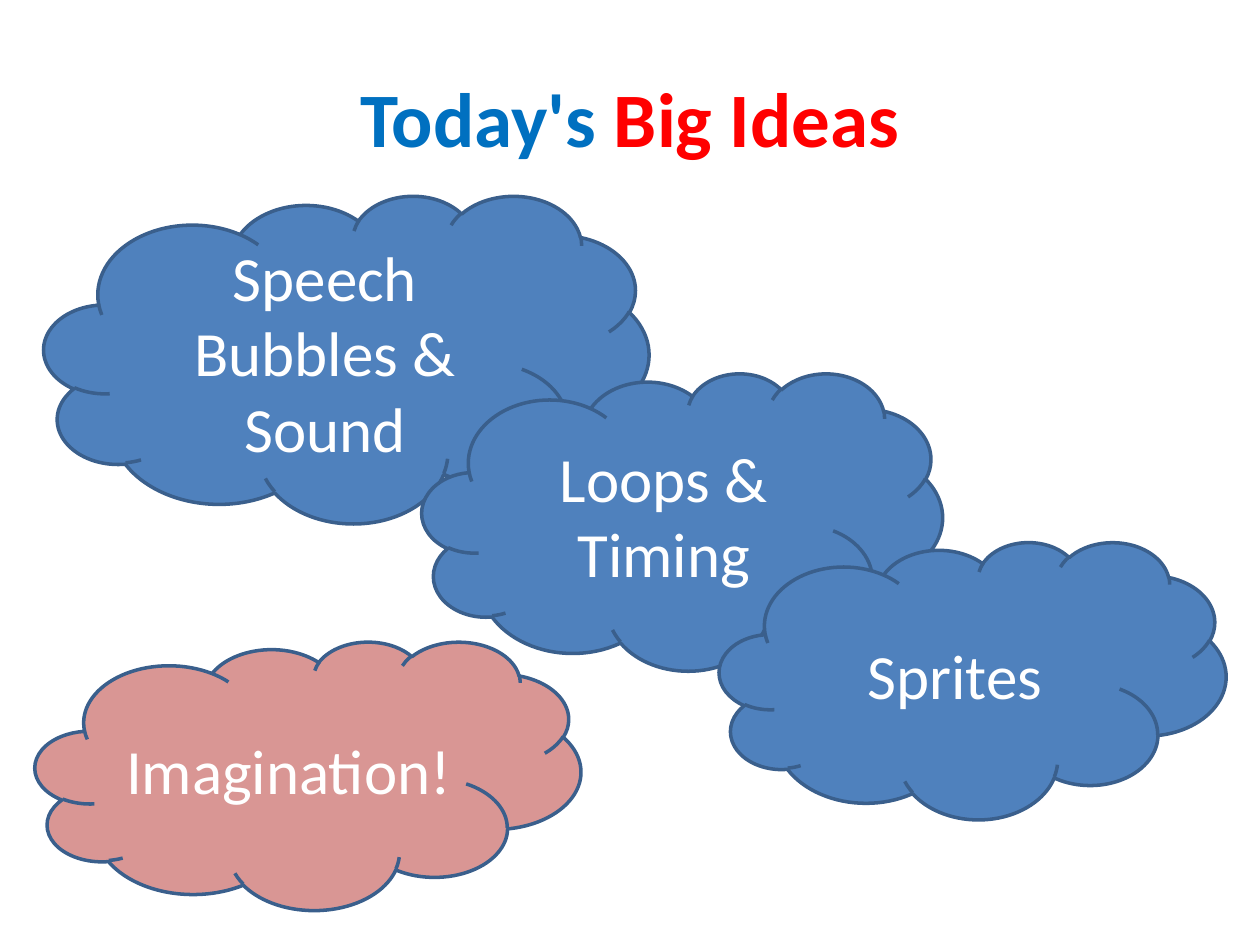
from pptx import Presentation
from pptx.dml.color import RGBColor
from pptx.enum.shapes import MSO_SHAPE
from pptx.enum.text import MSO_ANCHOR, PP_ALIGN
from pptx.util import Inches, Pt

CLOUD = MSO_SHAPE.CLOUD
MIDDLE = MSO_ANCHOR.MIDDLE
CENTER = PP_ALIGN.CENTER

# Content
WIDE, HIGH = 10, 7.5
FONT = "Calibri"
COLORS = {
    "blue": "0070C0", "red": "FF0000", "white": "FFFFFF",
    "sky": "4F81BD", "rose": "D99694", "edge": "3A5F8C",
}
TITLE = [("Today's ", "blue"), ("Big Ideas", "red")]
TITLE_BOX = (0.05, 0.028, 0.9, 0.19)

# Text, fill, and left, top, width, height as shares of the slide
CLOUDS = [
    ("Speech Bubbles & Sound", "sky", (0.035, 0.2067, 0.48, 0.3467)),
    ("Loops & Timing", "sky", (0.335, 0.3947, 0.413, 0.3147)),
    ("Sprites", "sky", (0.571, 0.5733, 0.402, 0.2933)),
    ("Imagination!", "rose", (0.028, 0.6787, 0.433, 0.284)),
]


def color(name):
    return RGBColor.from_string(COLORS[name])


def place(box):
    return [Inches(round(part * side, 2))
            for part, side in zip(box, (WIDE, HIGH) * 2)]


def write(shape, runs, size, bold=False):
    frame = shape.text_frame
    frame.word_wrap = True
    frame.vertical_anchor = MIDDLE
    para = frame.paragraphs[0]
    para.alignment = CENTER
    for text, tint in runs:
        run = para.add_run()
        run.text = text
        font = run.font
        font.name, font.size, font.bold = FONT, Pt(size), bold
        font.color.rgb = color(tint)


deck = Presentation()
deck.slide_width, deck.slide_height = Inches(WIDE), Inches(HIGH)
slide = deck.slides.add_slide(deck.slide_layouts[6])

# Title
head = slide.shapes.add_textbox(*place(TITLE_BOX))
write(head, TITLE, 44, bold=True)

# Clouds, from back to front
for text, fill, box in CLOUDS:
    cloud = slide.shapes.add_shape(CLOUD, *place(box))
    cloud.shadow.inherit = False
    cloud.fill.solid()
    cloud.fill.fore_color.rgb = color(fill)
    cloud.line.color.rgb = color("edge")
    cloud.line.width = Pt(2)
    write(cloud, [(text, "white")], 36)

deck.save("out.pptx")
